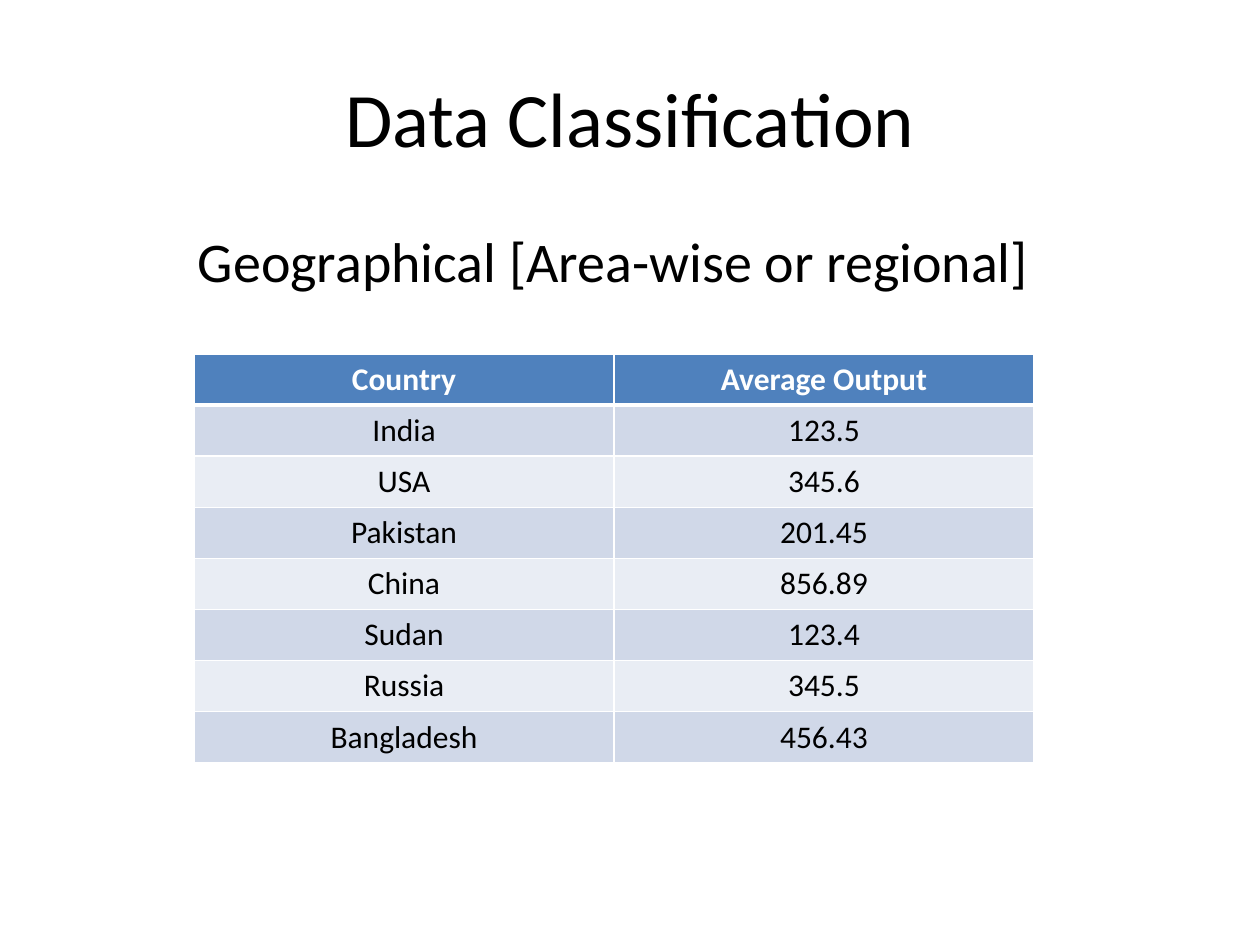
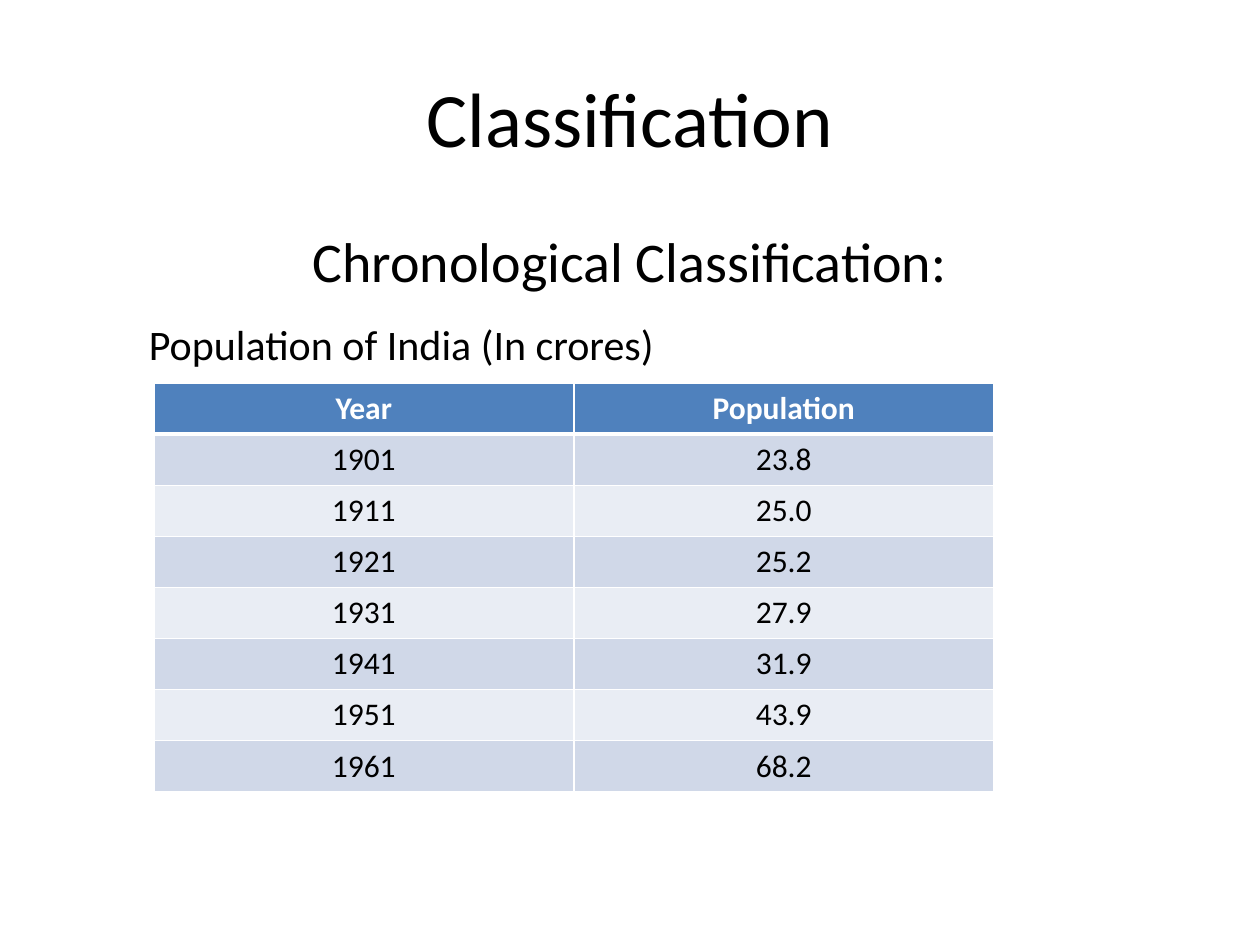
from dataclasses import dataclass

from lxml.etree import SubElement
from pptx import Presentation
from pptx.dml.color import RGBColor
from pptx.enum.text import MSO_ANCHOR as Anchor, PP_ALIGN as Align
from pptx.oxml.ns import qn
from pptx.slide import Slide
from pptx.table import _Cell as Cell
from pptx.text.text import TextFrame
from pptx.util import Pt


@dataclass(frozen=True)
class Theme:
    font: str = "Calibri"
    ink: str = "000000"
    paper: str = "FFFFFF"
    head: str = "4F81BD"
    bands: tuple[str, str] = ("D0D8E8", "E9EDF4")
    title: float = 44
    lead: float = 32
    note: float = 24
    cell: float = 18
    thin: float = 1
    thick: float = 3


@dataclass(frozen=True)
class Line:
    text: str
    size: float
    align: Align = Align.LEFT
    indent: float = 0
    before: float = 0


@dataclass(frozen=True)
class Page:
    title: str
    body: list[Line]
    left: float
    top: float
    rows: list[tuple[str, str]]


THEME = Theme()
COL, ROW = 240, 29.2

PAGES = [
    Page("Data Classification",
         [Line("Geographical [Area-wise or regional]", THEME.lead, indent=70)],
         110.9, 202.3,
         [("Country", "Average Output"), ("India", "123.5"), ("USA", "345.6"),
          ("Pakistan", "201.45"), ("China", "856.89"), ("Sudan", "123.4"),
          ("Russia", "345.5"), ("Bangladesh", "456.43")]),
    Page("Classification",
         [Line("Chronological Classification:", THEME.lead, Align.CENTER),
          Line("Population of India (In crores)", THEME.note, indent=42, before=14.2)],
         87.9, 218.9,
         [("Year", "Population"), ("1901", "23.8"), ("1911", "25.0"),
          ("1921", "25.2"), ("1931", "27.9"), ("1941", "31.9"),
          ("1951", "43.9"), ("1961", "68.2")]),
]


def write(frame: TextFrame, text: str, *, size: float, color: str = THEME.ink,
          bold: bool = False, align: Align = Align.LEFT,
          indent: float = 0, before: float = 0) -> None:
    """Fill the empty first paragraph, or add one after the text."""
    para = frame.add_paragraph() if frame.text else frame.paragraphs[0]
    para.alignment = align
    para.space_before = Pt(before)
    if indent:
        props = para._p.get_or_add_pPr()
        props.set("marL", str(Pt(indent)))
        props.set("indent", "0")
    run = para.add_run()
    run.text = text
    font = run.font
    font.name, font.size, font.bold = THEME.font, Pt(size), bold
    font.color.rgb = RGBColor.from_string(color)


def add_box(slide: Slide, top: float, height: float, anchor: Anchor) -> TextFrame:
    frame = slide.shapes.add_textbox(Pt(36), Pt(top), Pt(648), Pt(height)).text_frame
    frame.word_wrap = True
    frame.vertical_anchor = anchor
    return frame


def set_edges(cell: Cell, top: float, bottom: float) -> None:
    props = cell._tc.get_or_add_tcPr()
    widths = {"lnL": THEME.thin, "lnR": THEME.thin, "lnT": top, "lnB": bottom}
    for tag, width in widths.items():
        edge = SubElement(props, qn(f"a:{tag}"), w=str(Pt(width)))
        fill = SubElement(edge, qn("a:solidFill"))
        SubElement(fill, qn("a:srgbClr"), val=THEME.paper)


def add_grid(slide: Slide, page: Page) -> None:
    count, cols = len(page.rows), len(page.rows[0])
    table = slide.shapes.add_table(count, cols, Pt(page.left), Pt(page.top),
                                   Pt(COL * cols), Pt(ROW * count)).table
    for i, values in enumerate(page.rows):
        head = i == 0
        back = THEME.head if head else THEME.bands[(i - 1) % 2]
        for j, value in enumerate(values):
            cell = table.cell(i, j)
            set_edges(cell, THEME.thick if i == 1 else THEME.thin,
                      THEME.thick if head else THEME.thin)
            cell.fill.solid()
            cell.fill.fore_color.rgb = RGBColor.from_string(back)
            write(cell.text_frame, value, size=THEME.cell, bold=head,
                  color=THEME.paper if head else THEME.ink, align=Align.CENTER)


def main() -> None:
    deck = Presentation()
    deck.slide_width, deck.slide_height = Pt(720), Pt(540)
    for page in PAGES:
        slide = deck.slides.add_slide(deck.slide_layouts[6])
        write(add_box(slide, 21.6, 90, Anchor.MIDDLE), page.title,
              size=THEME.title, align=Align.CENTER)
        body = add_box(slide, 126, 356.4, Anchor.TOP)
        for line in page.body:
            write(body, line.text, size=line.size, align=line.align,
                  indent=line.indent, before=line.before)
        add_grid(slide, page)
    deck.save("out.pptx")


if __name__ == "__main__":
    main()
